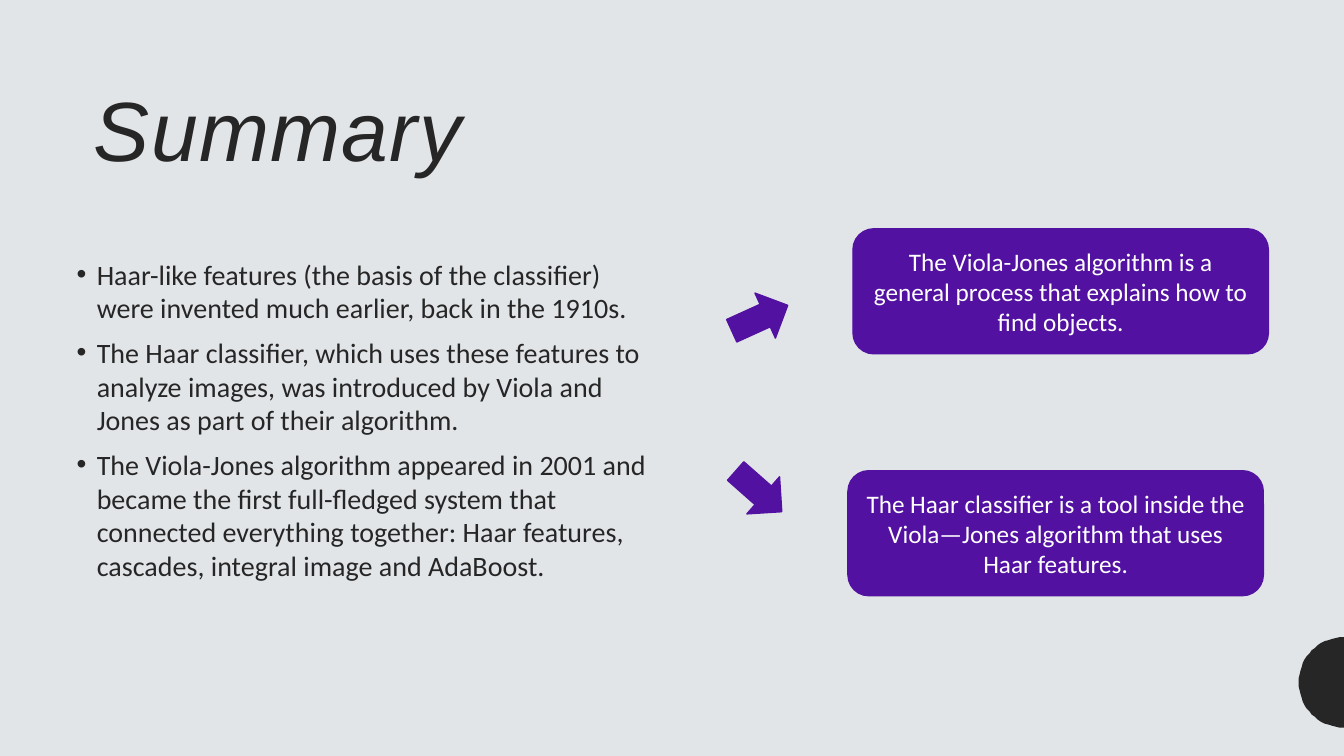
"""Build the summary slide on the Viola-Jones algorithm and the Haar classifier."""
import dataclasses
import math

import pptx
import pptx.dml.color
import pptx.enum.shapes
import pptx.enum.text
import pptx.shapes.autoshape
import pptx.slide
import pptx.text.text
import pptx.util

SCALE = 9144


@dataclasses.dataclass(frozen=True)
class Theme:
    back: str = "E2E5E8"
    dark: str = "262626"
    fill: str = "5211A0"
    light: str = "FFFFFF"
    head: str = "Arial"
    font: str = "Calibri"
    title: int = 60
    body: int = 20
    card: int = 18


@dataclasses.dataclass(frozen=True)
class Card:
    left: int
    top: int
    text: str
    width: int = 412
    height: int = 124


@dataclasses.dataclass(frozen=True)
class Arrow:
    left: int
    top: int
    turn: float
    width: int = 61
    height: int = 49


THEME = Theme()
POINTS = (
    "Haar-like features (the basis of the classifier) were invented much earlier, back in the 1910s.",
    "The Haar classifier, which uses these features to analyze images, was introduced by Viola and "
    "Jones as part of their algorithm.",
    "The Viola-Jones algorithm appeared in 2001 and became the first full-fledged system that "
    "connected everything together: Haar features, cascades, integral image and AdaBoost.",
)
CARDS = (
    Card(846, 227, "The Viola-Jones algorithm is a general process that explains how to find objects."),
    Card(841, 467, "The Haar classifier is a tool inside the Viola—Jones algorithm that uses Haar features."),
)
ARROWS = (Arrow(723, 291, 335.6), Arrow(722, 463, 41.4))


def px(size: int) -> pptx.util.Emu:
    """Turn px into EMU."""
    return pptx.util.Emu(size * SCALE)


def rgb(code: str) -> pptx.dml.color.RGBColor:
    """Turn a hex code into a colour."""
    return pptx.dml.color.RGBColor.from_string(code)


def style(para: pptx.text.text._Paragraph, name: str, size: int, color: str) -> None:
    """Format the runs of a paragraph."""
    for run in para.runs:
        run.font.name = name
        run.font.size = pptx.util.Pt(size)
        run.font.color.rgb = rgb(color)


def place(shape: pptx.shapes.autoshape.Shape, left: int, top: int, width: int, height: int) -> None:
    """Move a placeholder and anchor its text at the top."""
    shape.left, shape.top, shape.width, shape.height = map(px, (left, top, width, height))
    frame = shape.text_frame
    frame.word_wrap = True
    frame.auto_size = pptx.enum.text.MSO_AUTO_SIZE.NONE
    frame.vertical_anchor = pptx.enum.text.MSO_ANCHOR.TOP


def paint(shape: pptx.shapes.autoshape.Shape, color: str) -> None:
    """Give a shape one colour and no shadow."""
    shape.shadow.inherit = False
    shape.fill.solid()
    shape.fill.fore_color.rgb = rgb(color)
    shape.line.color.rgb = rgb(color)
    shape.line.width = pptx.util.Pt(1)


def add_disc(slide: pptx.slide.Slide, right: int, mid: int, size: int) -> None:
    """Draw a half disc against the right edge."""
    turns = [math.radians(90 + 5 * step) for step in range(37)]
    arc = [(round(right + size * math.cos(turn)), round(mid - size * math.sin(turn))) for turn in turns]
    form = slide.shapes.build_freeform(*arc[0], scale=SCALE)
    form.add_line_segments(arc[1:], close=True)
    disc = form.convert_to_shape()
    paint(disc, THEME.dark)
    disc.line.fill.background()


def add_title(slide: pptx.slide.Slide) -> None:
    """Fill the title."""
    title = slide.shapes.title
    place(title, 83, 83, 419, 520)
    title.text_frame.text = "Summary"
    para = title.text_frame.paragraphs[0]
    para.alignment = pptx.enum.text.PP_ALIGN.LEFT
    para.line_spacing = 0.9
    style(para, THEME.head, THEME.title, THEME.dark)
    font = para.runs[0].font
    font.italic = True
    font._element.set("spc", "100")


def add_list(slide: pptx.slide.Slide) -> None:
    """Fill the list."""
    body = slide.placeholders[1]
    place(body, 66, 250, 601, 441)
    body.text_frame.text = "\n".join(POINTS)
    for para in body.text_frame.paragraphs:
        para.space_before = para.space_after = pptx.util.Pt(4)
        props = para._p.get_or_add_pPr()
        props.set("marL", str(px(20)))
        props.set("indent", str(px(-20)))
        style(para, THEME.font, THEME.body, THEME.dark)


def add_card(slide: pptx.slide.Slide, card: Card) -> None:
    """Draw a rounded card with its text."""
    shape = slide.shapes.add_shape(
        pptx.enum.shapes.MSO_SHAPE.ROUNDED_RECTANGLE,
        px(card.left), px(card.top), px(card.width), px(card.height),
    )
    paint(shape, THEME.fill)
    frame = shape.text_frame
    frame.word_wrap = True
    frame.vertical_anchor = pptx.enum.text.MSO_ANCHOR.MIDDLE
    frame.text = card.text
    para = frame.paragraphs[0]
    para.alignment = pptx.enum.text.PP_ALIGN.CENTER
    style(para, THEME.font, THEME.card, THEME.light)


def add_arrow(slide: pptx.slide.Slide, arrow: Arrow) -> None:
    """Draw a turned block arrow."""
    shape = slide.shapes.add_shape(
        pptx.enum.shapes.MSO_SHAPE.RIGHT_ARROW,
        px(arrow.left), px(arrow.top), px(arrow.width), px(arrow.height),
    )
    shape.rotation = arrow.turn
    paint(shape, THEME.fill)


def main() -> None:
    """Build and save the slide."""
    deck = pptx.Presentation()
    deck.slide_width, deck.slide_height = px(1333), px(750)
    slide = deck.slides.add_slide(deck.slide_layouts[1])
    slide.background.fill.solid()
    slide.background.fill.fore_color.rgb = rgb(THEME.back)
    add_disc(slide, 1333, 677, 45)
    add_title(slide)
    add_list(slide)
    for card in CARDS:
        add_card(slide, card)
    for arrow in ARROWS:
        add_arrow(slide, arrow)
    deck.save("out.pptx")


if __name__ == "__main__":
    main()
